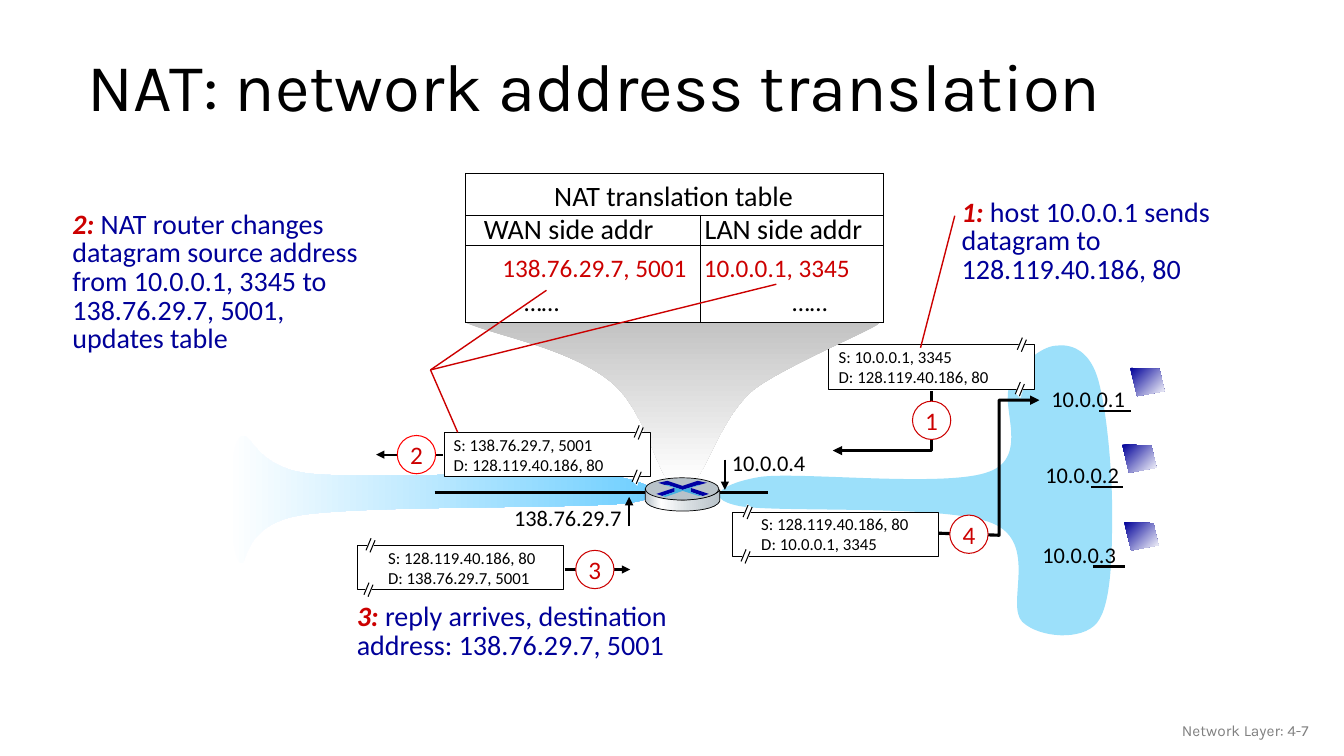
from copy import deepcopy
from pptx import Presentation
from pptx.dml.color import RGBColor
from pptx.enum.shapes import MSO_CONNECTOR, MSO_SHAPE
from pptx.enum.text import MSO_ANCHOR, PP_ALIGN
from pptx.oxml import parse_xml
from pptx.util import Inches, Pt

NS = 'xmlns:a="http://schemas.openxmlformats.org/drawingml/2006/main"'
BLACK, WHITE, RED, NAVY, SKY = "000000", "FFFFFF", "CC0000", "000099", "9CE0FA"
hue = RGBColor.from_string

deck = Presentation()
deck.slide_width, deck.slide_height = Inches(13.33), Inches(7.5)
slide = deck.slides.add_slide(deck.slide_layouts[5])
shapes = slide.shapes


def draw(parts, fill=None, line=None, wide=0.75, arrow=False, angle=0):
    """Trace points (x, y) and curves (x1, y1, x2, y2, x, y); a list of stops fills with a gradient."""
    dots = [(Inches(part[i]), Inches(part[i + 1])) for part in parts for i in range(0, len(part), 2)]
    if len(dots) == 2:
        item = shapes.add_connector(MSO_CONNECTOR.STRAIGHT, *dots[0], *dots[1])
    else:
        outline = shapes.build_freeform(*dots[0], scale=1.0)
        outline.add_line_segments(dots[1:], close=bool(fill))
        item = outline.convert_to_shape()
        legs = iter(item._element.xpath(".//a:lnTo"))
        for part in parts[1:]:
            leg = next(legs)
            if len(part) == 6:
                curve = parse_xml(f"<a:cubicBezTo {NS}/>")
                leg.addprevious(curve)
                for knot in (leg, next(legs), next(legs)):
                    curve.append(knot[0])
                    knot.getparent().remove(knot)
        if isinstance(fill, list):
            item.fill.gradient()
            item.fill.gradient_angle = angle
            stops = item._element.xpath(".//a:gsLst")[0]
            while len(stops) < len(fill):
                stops.append(deepcopy(stops[0]))
            for stop, (place, tint) in zip(item.fill.gradient_stops, fill):
                stop.position, stop.color.rgb = place, hue(tint)
        elif fill:
            item.fill.solid()
            item.fill.fore_color.rgb = hue(fill)
        else:
            item.fill.background()
    if line:
        item.line.color.rgb, item.line.width = hue(line), Pt(wide)
    else:
        item.line.fill.background()
    if arrow:
        item._element.xpath(".//a:ln")[0].append(parse_xml(f'<a:tailEnd {NS} type="triangle"/>'))
    item._element.spPr.append(parse_xml(f"<a:effectLst {NS}/>"))


def write(frame, lines, size, face="Calibri", gap=1.0, align=PP_ALIGN.LEFT):
    """Fill a text frame; each line is a list of (text, colour, strong) runs."""
    frame.word_wrap = True
    for n, runs in enumerate(lines):
        para = frame.add_paragraph() if n else frame.paragraphs[0]
        para.alignment, para.line_spacing = align, gap
        for text, tint, strong in runs:
            run = para.add_run()
            run.text = text
            font = run.font
            font.name, font.size, font.color.rgb = face, Pt(size), hue(tint)
            font.bold = font.italic = strong


# Title
title = shapes.title
title.left, title.top, title.width, title.height = map(Inches, (0.77, 0.31, 11.5, 1.17))
title.text_frame.vertical_anchor = MSO_ANCHOR.MIDDLE
write(title.text_frame, [[("NAT: network address translation", BLACK, False)]], 48, "Karla", 0.9)

# Wide area cloud and local cloud
draw([(5.98, 4.71), (5.45, 4.66, 3.68, 4.76, 3.08, 4.7), (2.48, 4.64, 2.49, 4.21, 2.37, 4.35),
      (2.25, 4.5, 2.27, 5.44, 2.37, 5.57), (2.47, 5.69, 2.35, 5.21, 2.99, 5.11),
      (3.63, 5.01, 5.73, 5.05, 6.23, 4.99), (6.73, 4.92, 6.41, 4.76, 5.98, 4.71)],
     [(0, WHITE), (1, "66CCFF")])
draw([(7.55, 4.73), (7.96, 4.68, 9.4, 4.84, 9.81, 4.68), (10.22, 4.53, 9.91, 4.02, 10.02, 3.81),
      (10.13, 3.6, 10.33, 3.44, 10.47, 3.43), (10.61, 3.41, 10.79, 3.46, 10.88, 3.73),
      (10.97, 4, 11.03, 4.64, 11.03, 5.05), (11.03, 5.46, 11.03, 5.99, 10.88, 6.18),
      (10.73, 6.36, 10.31, 6.33, 10.14, 6.17), (9.97, 6, 10.31, 5.38, 9.84, 5.19),
      (9.38, 5, 7.71, 5.09, 7.33, 5.02), (6.95, 4.94, 7.17, 4.79, 7.55, 4.73)], SKY)

# Packets: corner, text inset, tear offset, lines, badge, route; the funnel lies over the first
funnel = [(4.62, 3.2), (4.62, 3.2, 8.23, 3.09, 8.71, 3.2), (8.85, 3.19, 7.77, 3.63, 7.47, 3.87),
          (7.17, 4.12, 7.02, 4.63, 6.89, 4.77), (6.63, 4.77), (6.49, 4.6, 6.38, 4.04, 6.05, 3.78),
          (5.63, 3.45, 4.95, 3.34, 4.62, 3.2)]
packs = [
    (8.22, 3.42, 0.1, 1.87, "S: 10.0.0.1, 3345", "D: 128.119.40.186, 80", "1", (9.05, 3.98), RED,
     [(9.24, 3.88), (9.24, 4.47), (8.26, 4.47)], 2.25),
    (4.41, 4.29, 0.09, 1.88, "S: 138.76.29.7, 5001", "D: 128.119.40.186, 80", "2", (3.94, 4.32), "FF0000",
     [(4.39, 4.51), (3.73, 4.51)], 1.5),
    (3.55, 5.41, 0.3, 0.08, "S: 128.119.40.186, 80", "D: 138.76.29.7, 5001", "3", (5.71, 5.46), RED,
     [(5.6, 5.65), (6.25, 5.65)], 1.5),
    (7.27, 5.08, 0.28, 0.1, "S: 128.119.40.186, 80", "D: 10.0.0.1, 3345", "4", (9.42, 5.11), RED,
     [(9.31, 5.29), (9.91, 5.31), (9.91, 3.97), (10.31, 3.97)], 2.25)]
for x, y, inset, tear, source, dest, mark, spot, rim, route, wide in packs:
    draw(route, line=BLACK, wide=wide, arrow=True)
    box = shapes.add_shape(MSO_SHAPE.RECTANGLE, *map(Inches, (x, y, 2.04, 0.44)))
    disc = shapes.add_shape(MSO_SHAPE.OVAL, *map(Inches, (*spot, 0.38, 0.38)))
    for item, edge in ((box, BLACK), (disc, rim)):
        item.shadow.inherit = False
        item.fill.solid()
        item.fill.fore_color.rgb = hue(WHITE)
        item.line.color.rgb, item.line.width = hue(edge), Pt(0.75)
        frame = item.text_frame
        frame.margin_left = frame.margin_right = frame.margin_top = frame.margin_bottom = 0
    box.text_frame.margin_left, box.text_frame.margin_top = Inches(inset), Inches(0.02)
    box.text_frame.vertical_anchor = MSO_ANCHOR.TOP
    write(box.text_frame, [[(source, BLACK, False)], [(dest, BLACK, False)]], 12)
    disc.text_frame.vertical_anchor = MSO_ANCHOR.MIDDLE
    write(disc.text_frame, [[(mark, RED, False)]], 18, align=PP_ALIGN.CENTER)
    for u, v in ((x + tear, y - 0.08), (x + tear - 0.02, y + 0.36)):
        draw([(u + 0.04, v), (u, v + 0.12), (u + 0.05, v + 0.17), (u + 0.09, v + 0.04)], WHITE)
        for slip in (0, 0.04):
            draw([(u + 0.05 + slip, v + 0.01 + slip / 2), (u + slip, v + 0.13 + slip / 2)], line=BLACK)
    if mark == "1":
        draw(funnel, [(0, "BFBFBF"), (1, WHITE)], angle=270)

# Translation table: height, size, colour, drawn edges, top and bottom margin, cells (text, left, right)
rows = [(0.42, 20, BLACK, "LRTB", 0.04, 0, [("NAT translation table", 0, 0.02)]),
        (0.3, 20, BLACK, "LRTB", 0, 0, [("WAN side addr", 0.18, 0), ("LAN side addr", 0.04, 0)]),
        (0.4, 18, RED, "LRT", 0.06, 0, [("138.76.29.7, 5001", 0, 0.14), ("10.0.0.1, 3345", 0.03, 0)]),
        (0.36, 18, BLACK, "LRB", 0, 0.04, [("……", 0.58, 0), ("……", 0.91, 0)])]
grid = shapes.add_table(4, 2, Inches(4.62), Inches(1.72), Inches(4.14), Inches(1.48)).table
grid.first_row = grid.horz_banding = False
grid.columns[0].width, grid.columns[1].width = Inches(2.33), Inches(1.81)
grid.cell(0, 0).merge(grid.cell(0, 1))
for r, (tall, size, tint, edges, above, below, cells) in enumerate(rows):
    grid.rows[r].height = Inches(tall)
    for c, (text, left, right) in enumerate(cells):
        cell = grid.cell(r, c)
        cell.margin_left, cell.margin_right = Inches(left), Inches(right)
        cell.margin_top, cell.margin_bottom = Inches(above), Inches(below)
        cell.vertical_anchor = MSO_ANCHOR.MIDDLE
        for edge in "LRTB":
            ink = f'<a:solidFill><a:srgbClr val="{BLACK}"/></a:solidFill>' if edge in edges else "<a:noFill/>"
            cell._tc.get_or_add_tcPr().append(parse_xml(f'<a:ln{edge} {NS} w="9525">{ink}</a:ln{edge}>'))
        cell.fill.solid()
        cell.fill.fore_color.rgb = hue(WHITE)
        side = PP_ALIGN.CENTER if r == 0 else PP_ALIGN.RIGHT if right else PP_ALIGN.LEFT
        write(cell.text_frame, [[(text, tint, False)]], size, gap=0.85 if r == 1 else 1.0, align=side)

# Red pointers
hub = (4.27, 3.67)
for start, end in (((9.47, 2.14), (9.13, 3.45)), (hub, (4.54, 4.29)), (hub, (5.42, 2.88)), (hub, (7.7, 2.82))):
    draw([start, end], line=RED, wide=1)

# Step notes
notes = [(9.44, 1.93, 3.36, 0.96, "1: ", ["host 10.0.0.1 sends datagram to 128.119.40.186, 80"]),
         (0.62, 2.05, 3.45, 1.53, "2: ", ["NAT router changes datagram source address from "
                                          "10.0.0.1, 3345 to 138.76.29.7, 5001,", "updates table"]),
         (3.44, 5.94, 3.89, 0.68, "3: ", ["reply arrives, destination address: 138.76.29.7, 5001"])]
for x, y, w, h, step, texts in notes:
    lines = [[(text, NAVY, False)] for text in texts]
    lines[0].insert(0, (step, RED, True))
    write(shapes.add_textbox(*map(Inches, (x, y, w, h))).text_frame, lines, 20, gap=0.85)

# Address labels
for x, y, w, text in ((7.16, 4.41, 0.96, "10.0.0.4"), (5, 4.95, 1.3, "138.76.29.7"), (10.33, 3.77, 0.96, "10.0.0.1"),
                      (10.27, 4.53, 0.96, "10.0.0.2"), (10.24, 5.32, 0.96, "10.0.0.3")):
    label = shapes.add_textbox(*map(Inches, (x, y, w, 0.37)))
    write(label.text_frame, [[(text, BLACK, False)]], 16)

# Hosts: screen corner and base line
for x, y, left, base in ((11.21, 3.65, 10.9, 4.08), (11.13, 4.41, 10.82, 4.83), (11.15, 5.18, 10.84, 5.62)):
    draw([(x, y), (x + 0.29, y + 0.01), (x + 0.34, y + 0.23), (x + 0.07, y + 0.28)],
         [(0, NAVY), (1, WHITE)], angle=315)
    draw([(left, base), (left + 0.32, base)], line=BLACK, wide=1.5)

# Router
draw([(4.31, 4.89), (7.62, 4.89)], line=BLACK, wide=2)
draw([(7.14, 4.86), (7.14, 4.97), (7.11, 5.05, 6.9, 5.07, 6.77, 5.07), (6.65, 5.07, 6.43, 5.05, 6.4, 4.97),
      (6.4, 4.85), (6.44, 4.92, 6.65, 4.96, 6.77, 4.96), (6.89, 4.96, 7.1, 4.93, 7.14, 4.86)],
     [(0, "B8C2C9"), (0.21, WHITE), (0.6, "D6DCE0"), (1, "B8C2C9")], BLACK, 0.5)
lid = shapes.add_shape(MSO_SHAPE.OVAL, *map(Inches, (6.4, 4.74, 0.73, 0.22)))
lid.shadow.inherit = False
lid.fill.solid()
lid.fill.fore_color.rgb = hue("B8C2C9")
lid.line.color.rgb, lid.line.width = hue(BLACK), Pt(0.5)
draw([(6.92, 4.77), (7.01, 4.79), (6.94, 4.81), (6.93, 4.81), (6.77, 4.86), (6.62, 4.81), (6.59, 4.81),
      (6.53, 4.79), (6.62, 4.77), (6.77, 4.82)], "0000A3")
draw([(6.85, 4.84), (7.03, 4.9), (6.97, 4.92), (6.85, 4.88)], "0000A3")
draw([(6.69, 4.84), (6.69, 4.88), (6.57, 4.92), (6.51, 4.9)], "0000A8")
draw([(6.59, 4.81), (6.62, 4.81), (6.77, 4.86), (6.93, 4.81), (6.95, 4.81), (6.85, 4.84), (6.85, 4.88),
      (6.96, 4.92), (6.93, 4.92), (6.77, 4.87), (6.6, 4.93), (6.57, 4.92), (6.69, 4.88), (6.69, 4.84)], "46B1E1")

# Arrows to the router's two sides
draw([(6.24, 5.22), (6.24, 4.93)], line=BLACK, wide=1.5, arrow=True)
draw([(7.19, 4.56), (7.19, 4.86)], line=BLACK, wide=1.5, arrow=True)

# Page mark
foot = shapes.add_textbox(*map(Inches, (10.08, 7.05, 3, 0.4))).text_frame
foot.vertical_anchor = MSO_ANCHOR.MIDDLE
write(foot, [[("Network Layer: 4-7", "808080", False)]], 11, "Karla", align=PP_ALIGN.RIGHT)

deck.save("out.pptx")
